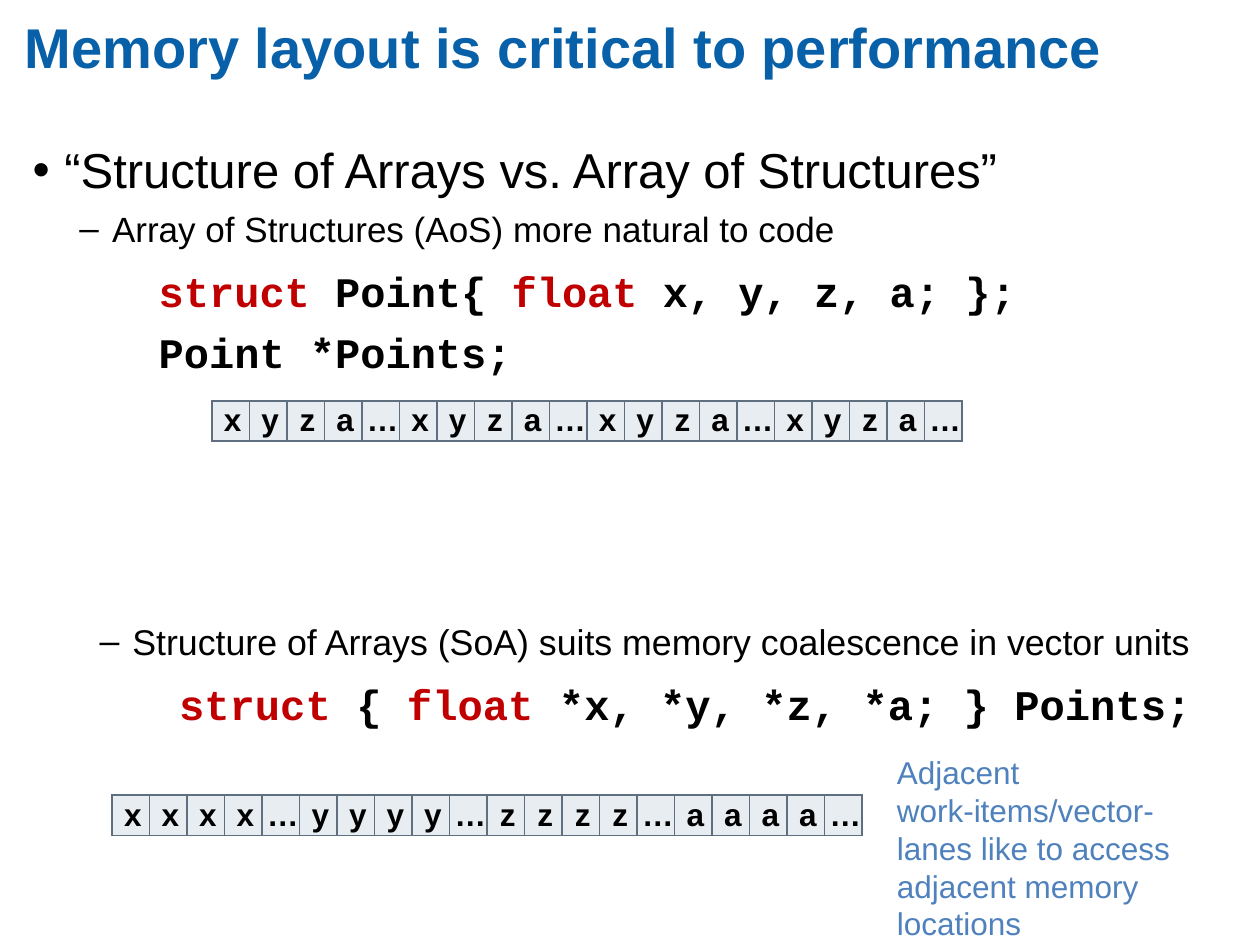
from lxml.etree import SubElement as Sub
from pptx import Presentation
from pptx.dml.color import RGBColor
from pptx.enum.text import MSO_ANCHOR as Anchor, MSO_AUTO_SIZE as Fit, PP_ALIGN as Align
from pptx.oxml.ns import qn
from pptx.util import Cm, Pt

BLACK, RED, BLUE, NOTE = "000000", "C00000", "0860A8", "4F81BD"
CELL, EDGE = "8EA8BE", "5F6F7F"
COUNT = 20


def color(text):
    return RGBColor.from_string(text)


def style(run, size, tint=BLACK, bold=False, face="Arial"):
    font = run.font
    font.name, font.size, font.bold = face, Pt(size), bold
    font.color.rgb = color(tint)


def bare(frame):
    """Wrap the text, anchor it at the top and drop the insets."""
    frame.word_wrap = True
    frame.auto_size = Fit.NONE
    frame.vertical_anchor = Anchor.TOP
    frame.margin_left = frame.margin_right = 0
    frame.margin_top = frame.margin_bottom = 0


def add_title(slide, text):
    title = slide.shapes.title
    title.left, title.top = Cm(0.5), Cm(0.25)
    title.width, title.height = Cm(24.6), Cm(2.16)
    frame = title.text_frame
    frame.text = text
    bare(frame)
    para = frame.paragraphs[0]
    para.alignment = Align.LEFT
    style(para.runs[0], 32, BLUE, True)


def add_box(slide, left, top, width, height):
    return slide.shapes.add_textbox(Cm(left), Cm(top), Cm(width), Cm(height)).text_frame


def add_para(frame, gap):
    """Return the next paragraph; the first one of a box has no gap."""
    first = frame.paragraphs[0]
    if not first.runs:
        return first
    para = frame.add_paragraph()
    para.space_before = Pt(gap)
    return para


def set_indent(para, margin, hang=0):
    props = para._p.get_or_add_pPr()
    props.set("marL", str(Cm(margin)))
    props.set("indent", str(Cm(-hang)))
    return props


def add_bullet(frame, text, mark, size, margin, hang, level=0):
    para = add_para(frame, 5)
    para.level = level
    props = set_indent(para, margin, hang)
    Sub(props, qn("a:buFont"), typeface="Arial")
    Sub(props, qn("a:buChar"), char=mark)
    run = para.add_run()
    run.text = text
    style(run, size)


def add_code(frame, parts, gap, size=24):
    """Write one code line; the parts are pairs of text and colour."""
    para = add_para(frame, gap)
    set_indent(para, 2.54)
    for text, tint in parts:
        run = para.add_run()
        run.text = text
        style(run, size, tint, True, "Courier New")


def set_edges(cell):
    props = cell._tc.get_or_add_tcPr()
    for place, side in enumerate(("lnL", "lnR", "lnT", "lnB")):
        line = Sub(props, qn(f"a:{side}"), w=str(Pt(1)))
        fill = Sub(line, qn("a:solidFill"))
        Sub(fill, qn("a:srgbClr"), val=EDGE)
        props.insert(place, line)


def fill_cell(cell, text):
    cell.text = text
    cell.vertical_anchor = Anchor.MIDDLE
    cell.margin_left = cell.margin_right = Cm(0.05)
    cell.margin_top = cell.margin_bottom = Cm(0.05)
    para = cell.text_frame.paragraphs[0]
    para.alignment = Align.CENTER
    set_indent(para, 0.08)
    style(para.runs[0], 18, bold=True)
    cell.fill.solid()
    cell.fill.fore_color.rgb = color(CELL)
    tint = cell._tc.tcPr.find(".//" + qn("a:srgbClr"))
    Sub(tint, qn("a:alpha"), val="20000")
    set_edges(cell)


def add_strip(slide, left, top, items):
    """Draw a stretch of memory as a table of one row."""
    width = Cm(15.12)
    table = slide.shapes.add_table(1, COUNT, Cm(left), Cm(top), width, Cm(0.76)).table
    table.first_row = table.horz_banding = False
    for col, text in enumerate(items):
        table.columns[col].width = width // COUNT
        fill_cell(table.cell(0, col), text)


def add_note(slide, text):
    frame = add_box(slide, 17.83, 15.06, 7.14, 3.33)
    frame.word_wrap = True
    frame.auto_size = Fit.SHAPE_TO_FIT_TEXT
    frame.text = text
    style(frame.paragraphs[0].runs[0], 18, NOTE)


def main():
    deck = Presentation()
    deck.slide_width, deck.slide_height = Cm(25.4), Cm(19.05)
    slide = deck.slides.add_slide(deck.slide_layouts[5])
    add_title(slide, "Memory layout is critical to performance")

    aos = add_box(slide, 0.66, 2.82, 22.35, 5.64)
    bare(aos)
    add_bullet(aos, "“Structure of Arrays vs. Array of Structures”", "•", 28, 0.64, 0.64)
    add_bullet(aos, "Array of Structures (AoS) more natural to code", "–", 20, 1.6, 0.66, 1)
    add_code(aos, [("struct ", RED), ("Point{ ", BLACK), ("float ", RED),
                   ("x, y, z, a; };", BLACK)], 9)
    add_code(aos, [("Point *Points;", BLACK)], 6)

    add_strip(slide, 2.26, 16.03, "xxxx…yyyy…zzzz…aaaa…")
    add_strip(slide, 4.27, 8.08, "xyza…" * 4)
    add_note(slide, "Adjacent work-items/vector-lanes like to access adjacent memory locations")

    soa = add_box(slide, 1.07, 12.5, 23.62, 2.62)
    bare(soa)
    add_bullet(soa, "Structure of Arrays (SoA) suits memory coalescence in vector units",
               "–", 20.4, 1.6, 0.66, 1)
    add_code(soa, [("struct ", RED), ("{ ", BLACK), ("float ", RED),
                   ("*x, *y, *z, *a; } Points;", BLACK)], 9, 24.1)
    deck.save("out.pptx")


if __name__ == "__main__":
    main()
